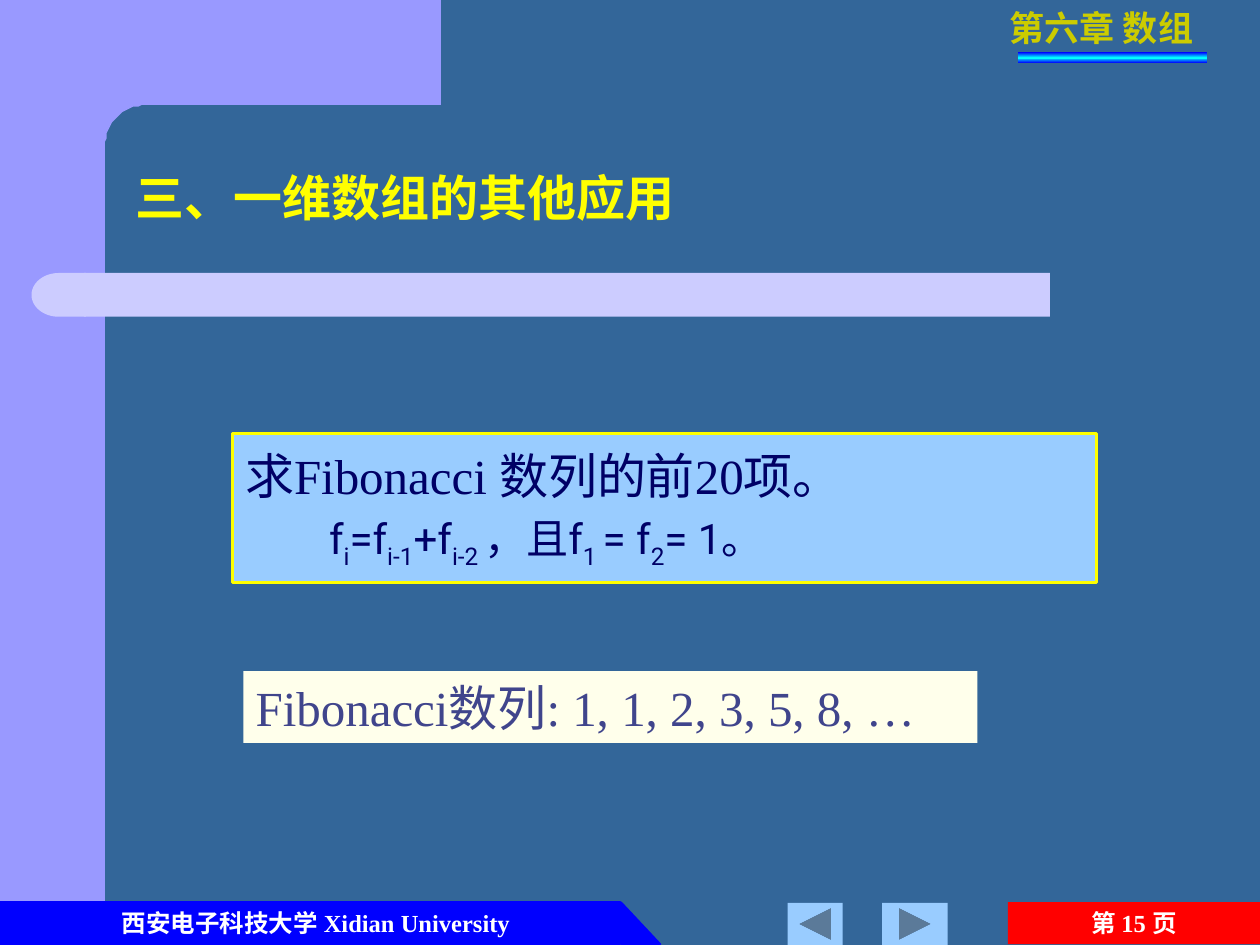
"""Build the Fibonacci exercise slide of the chapter on arrays."""
import copy
import math

import lxml.etree
import pptx
import pptx.dml.color
import pptx.enum.shapes
import pptx.enum.text
import pptx.oxml.ns
import pptx.util

Pt = pptx.util.Pt
RGB = pptx.dml.color.RGBColor.from_string
SHAPE = pptx.enum.shapes.MSO_SHAPE
ALIGN = pptx.enum.text.PP_ALIGN
MIDDLE = pptx.enum.text.MSO_ANCHOR.MIDDLE
qn = pptx.oxml.ns.qn
COLORS = {
    "background": "336699", "violet": "9999FF", "lavender": "CCCCFF",
    "blue": "0000FF", "cyan": "00FFFF", "red": "FF0000", "white": "FFFFFF",
    "sky": "99CCFF", "yellow": "FFFF00", "navy": "000066",
    "gold": "CCCC00", "ivory": "FFFFEB", "indigo": "40458C",
}
CJK = "Noto Sans CJK SC"


def write(paragraph, text, size=28, color="white", font="Times New Roman",
          bold=False, baseline=0, align=ALIGN.LEFT):
    paragraph.alignment = align
    run = paragraph.add_run()
    run.text = text
    run.font.size, run.font.bold, run.font.name = Pt(size), bold, font
    run.font.color.rgb = RGB(COLORS[color])
    properties = run.font._element
    if baseline:
        properties.set("baseline", str(baseline * 1000))
    east_asian = lxml.etree.Element(qn("a:ea"), typeface=CJK)
    properties.find(qn("a:latin")).addnext(east_asian)


def add_block(kind, box, fill, line=None, width=0.75, rotation=0):
    block = slide.shapes.add_shape(kind, *map(Pt, box))
    block.shadow.inherit = False
    block.rotation = rotation
    block.fill.solid()
    block.fill.fore_color.rgb = RGB(COLORS[fill])
    if line:
        block.line.color.rgb = RGB(COLORS[line])
        block.line.width = Pt(width)
    else:
        block.line.fill.background()
    block.text_frame.word_wrap = True
    block.text_frame.vertical_anchor = MIDDLE
    return block


deck = pptx.Presentation()
deck.slide_width, deck.slide_height = Pt(720), Pt(540)
slide = deck.slides.add_slide(deck.slide_layouts[5])
slide.background.fill.solid()
slide.background.fill.fore_color.rgb = RGB(COLORS["background"])

add_block(SHAPE.RECTANGLE, (0, 0, 60, 540), "violet")
radius = 23.5
arc = [(60 + radius * (1 - math.sin(math.radians(angle))),
        60 + radius * (1 - math.cos(math.radians(angle))))
       for angle in range(0, 91, 6)]
outline = slide.shapes.build_freeform(36, 0, scale=Pt(1))
outline.add_line_segments([(252, 0), (252, 60), *arc, (60, 92), (36, 92)], close=True)
corner = outline.convert_to_shape()
corner.shadow.inherit = False
corner.fill.solid()
corner.fill.fore_color.rgb = RGB(COLORS["violet"])
corner.line.fill.background()
add_block(SHAPE.RECTANGLE, (48, 156, 552, 25), "lavender")
add_block(SHAPE.FLOWCHART_DELAY, (18, 156, 31, 25), "lavender", rotation=180)

footer_top, footer_height = 515.5, 24
add_block(SHAPE.RECTANGLE, (0, footer_top, 354.5, footer_height), "blue", "blue")
add_block(SHAPE.RIGHT_TRIANGLE, (355, footer_top, 22.5, footer_height), "blue", "blue")
university = slide.shapes.add_textbox(*map(Pt, (21, footer_top, 319, footer_height)))
university.text_frame.word_wrap = True
university.text_frame.vertical_anchor = MIDDLE
write(university.text_frame.paragraphs[0], "西安电子科技大学 Xidian University",
      size=14, bold=True, align=ALIGN.CENTER)
page = add_block(SHAPE.RECTANGLE, (576, footer_top, 144, footer_height), "red")
write(page.text_frame.paragraphs[0], "第 15 页", size=14, bold=True, align=ALIGN.CENTER)
for left, width, rotation in ((504, 37.5, 0), (450, 31.5, 180)):
    add_block(SHAPE.ACTION_BUTTON_FORWARD_OR_NEXT, (left, 516, width, 24),
              "sky", rotation=rotation)

title = slide.shapes.title
title.left, title.top, title.width, title.height = map(Pt, (70.5, 88.5, 474, 44.5))
title.text_frame.word_wrap = True
title.text_frame.vertical_anchor = MIDDLE
heading = title.text_frame.paragraphs[0]
heading.line_spacing = 1.1
write(heading, "三、一维数组的其他应用", color="yellow", bold=True)

exercise = add_block(SHAPE.RECTANGLE, (133, 247.5, 493.5, 85.5), "sky", "yellow", 1.75)
write(exercise.text_frame.paragraphs[0], "求Fibonacci 数列的前20项。", color="navy")
formula = exercise.text_frame.add_paragraph()
formula.space_before = Pt(5)
formula._p.get_or_add_pPr().set("marL", str(Pt(48)))
for base, subscript in (("f", "i"), ("=f", "i-1"), ("+f", "i-2 "),
                        ("，且f", "1 "), ("= f", "2"), ("= 1。", "")):
    write(formula, base, size=24, color="navy", font="Roboto")
    if subscript:
        write(formula, subscript, size=24, color="navy", font="Roboto", baseline=-25)

chapter = slide.shapes.add_textbox(*map(Pt, (570, 0, 125.5, 31)))
chapter.text_frame.word_wrap = False
chapter.text_frame.vertical_anchor = MIDDLE
write(chapter.text_frame.paragraphs[0], "第六章 数组", size=20, color="gold",
      font=CJK, bold=True)
underline = add_block(SHAPE.RECTANGLE, (581.5, 30, 108, 6), "blue")
underline.fill.gradient()
underline.fill.gradient_angle = 90
first_stop = underline._element.spPr.find(".//" + qn("a:gs"))
first_stop.addnext(copy.deepcopy(first_stop))
for stop, position, color in zip(underline.fill.gradient_stops, (0, 0.5, 1),
                                 ("blue", "cyan", "blue")):
    stop.position = position
    stop.color.rgb = RGB(COLORS[color])

sequence = add_block(SHAPE.RECTANGLE, (139, 383.5, 419.5, 41), "ivory")
write(sequence.text_frame.paragraphs[0], "Fibonacci数列: 1, 1, 2, 3, 5, 8, …",
      color="indigo")

deck.save("out.pptx")
